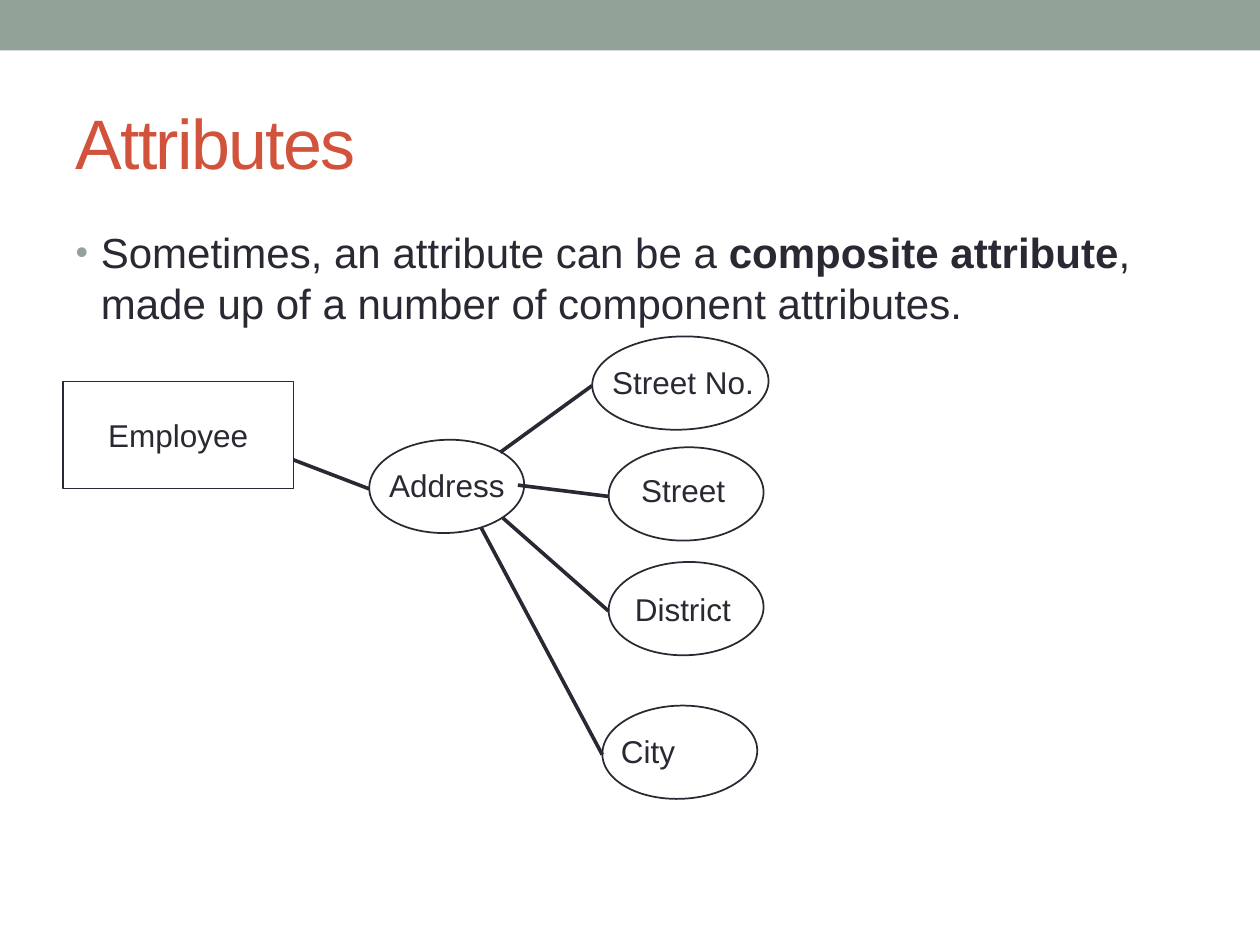
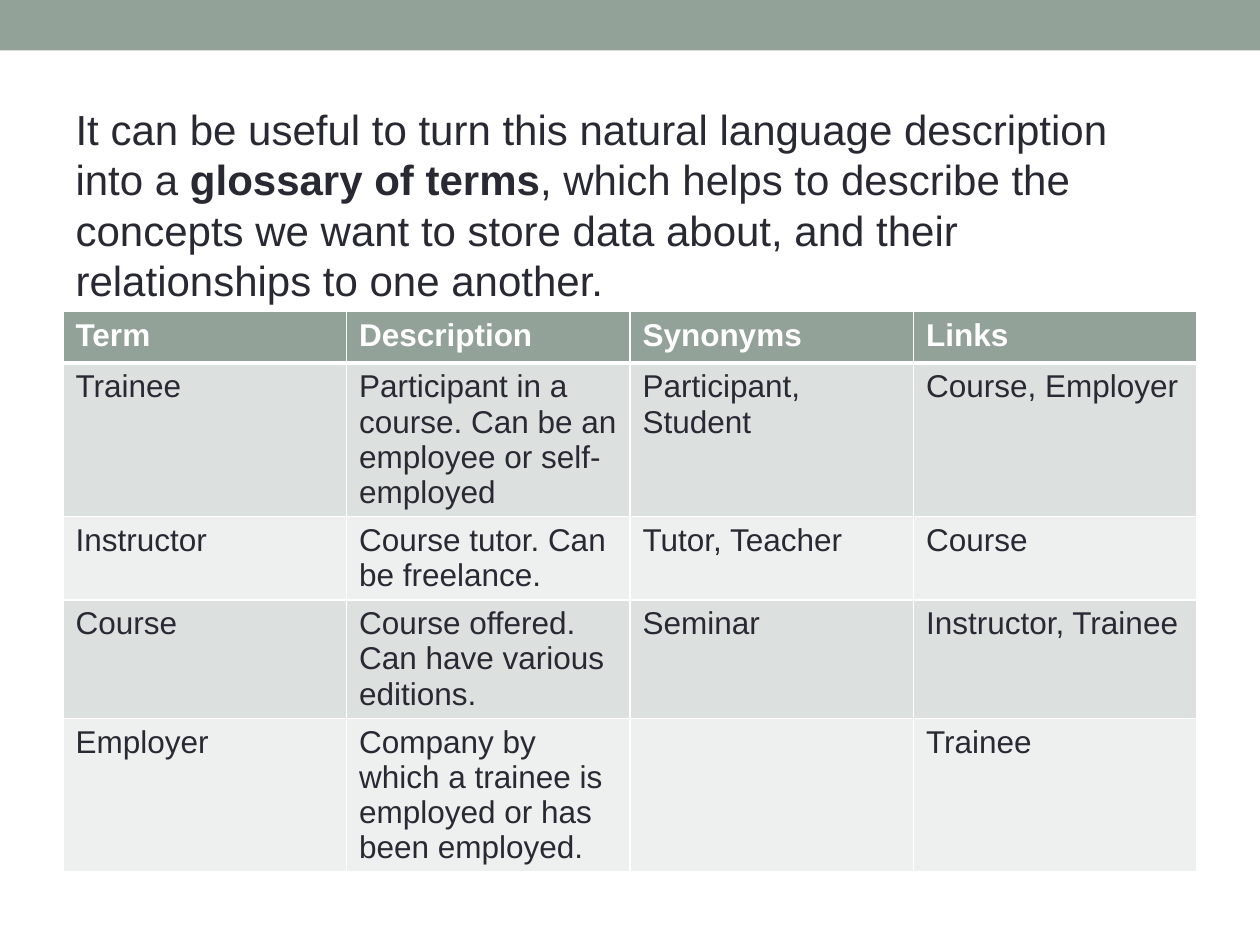
from lxml import etree
from pptx import Presentation
from pptx import util as u
from pptx.dml import color
from pptx.enum import shapes, text
from pptx.oxml import ns

SCALE = 9144
SAGE, RUST, INK, WHITE = "93A299", "D2533C", "292934", "FFFFFF"
BANDS = "DCE0DE", "EEF0EF"


def px(*lengths):
    return [u.Emu(n * SCALE) for n in lengths]


def rgb(value):
    return color.RGBColor.from_string(value)


def sub(parent, tag, **attrs):
    return etree.SubElement(parent, ns.qn(tag), attrs)


def set_attrs(target, values):
    for name, value in values.items():
        setattr(target, name, value)


class Deck:
    def __init__(self):
        self.prs = Presentation()
        self.prs.slide_width, self.prs.slide_height = px(1000, 750)
        self.s = None

    def slide(self, title=None):
        self.s = self.prs.slides.add_slide(self.prs.slide_layouts[1])
        band = self.shape("RECTANGLE", (0, 0, 1000, 40))
        band.fill.solid()
        band.fill.fore_color.rgb = rgb(SAGE)
        band.line.fill.background()
        sp = self.s.shapes.title
        if title is None:
            sp.element.getparent().remove(sp.element)
            return
        self.place(sp, 50, 58, 900, 108)
        set_attrs(sp.text_frame, {"vertical_anchor": text.MSO_ANCHOR.MIDDLE,
                                  "auto_size": text.MSO_AUTO_SIZE.NONE})
        p = sp.text_frame.paragraphs[0]
        p.alignment = text.PP_ALIGN.LEFT
        r = self.run(p, title, size=40, fill=RUST)
        r.font._element.set("spc", "-100")

    def place(self, sp, *box):
        set_attrs(sp, dict(zip(("left", "top", "width", "height"), px(*box))))

    def run(self, p, words, size=18, fill=INK, bold=False):
        r = p.add_run()
        r.text = words
        set_attrs(r.font, {"name": "Arial", "size": u.Pt(size), "bold": bold})
        r.font.color.rgb = rgb(fill)
        return r

    def body(self, top, parts, bullet=False):
        sp = self.s.placeholders[1]
        self.place(sp, 50, top, 900, 533)
        tf = sp.text_frame
        tf.auto_size = text.MSO_AUTO_SIZE.NONE
        p = tf.paragraphs[0]
        for i, words in enumerate(parts):
            self.run(p, words, size=24, bold=i % 2 == 1)
        ppr = p._p.get_or_add_pPr()
        indent = 20 * SCALE if bullet else 0
        ppr.set("marL", str(indent))
        ppr.set("indent", str(-indent))
        sub(sub(ppr, "a:spcBef"), "a:spcPct", val="20000")
        if bullet:
            sub(sub(ppr, "a:buClr"), "a:srgbClr", val=SAGE)
            sub(ppr, "a:buSzPct", val="85000")
            sub(ppr, "a:buFont", typeface="Arial")
            sub(ppr, "a:buChar", char="•")
        else:
            sub(ppr, "a:buNone")

    def shape(self, kind, box, line=1.0):
        sp = self.s.shapes.add_shape(shapes.MSO_SHAPE[kind], *px(*box))
        sp.shadow.inherit = False
        sp.fill.background()
        sp.line.color.rgb = rgb(INK)
        sp.line.width = u.Pt(line)
        return sp

    def entity(self, words, box):
        sp = self.shape("RECTANGLE", box, line=0.75)
        sp.text_frame.vertical_anchor = text.MSO_ANCHOR.MIDDLE
        p = sp.text_frame.paragraphs[0]
        p.alignment = text.PP_ALIGN.CENTER
        self.run(p, words)

    def label(self, words, box, wrap):
        sp = self.s.shapes.add_textbox(*px(*box))
        set_attrs(sp.text_frame, {"word_wrap": wrap,
                                  "auto_size": text.MSO_AUTO_SIZE.SHAPE_TO_FIT_TEXT})
        self.run(sp.text_frame.paragraphs[0], words)

    def link(self, start, end):
        c = self.s.shapes.add_connector(shapes.MSO_CONNECTOR.STRAIGHT, *px(*start, *end))
        c.line.color.rgb = rgb(INK)
        c.line.width = u.Pt(2.08)
        sub(c._element.spPr, "a:effectLst")

    def attribute(self, words, label_box, oval, start, end, wrap=False):
        left, top, width = oval
        self.label(words, (*label_box, 40), wrap)
        self.link(start, end)
        self.shape("OVAL", (left, top, width, 74)).rotation = 178.1

    def cell(self, cell, words, header, fill):
        tcpr = cell._tc.get_or_add_tcPr()
        for side in "LRTB":
            width = 3 if header and side == "B" else 1
            ln = sub(tcpr, f"a:ln{side}", w=str(u.Pt(width)))
            sub(sub(ln, "a:solidFill"), "a:srgbClr", val=WHITE)
        cell.fill.solid()
        cell.fill.fore_color.rgb = rgb(fill)
        if words:
            self.run(cell.text_frame.paragraphs[0], words,
                     fill=WHITE if header else INK, bold=header)

    def table(self, box, rows, heights):
        frame = self.s.shapes.add_table(len(rows), len(rows[0]), *px(*box))
        for i, (row, height) in enumerate(zip(rows, heights)):
            frame.table.rows[i].height = px(height)[0]
            fill = BANDS[(i - 1) % 2] if i else SAGE
            for j, words in enumerate(row):
                self.cell(frame.table.cell(i, j), words, i == 0, fill)


ATTRIBUTES = [
    ("Address", (299, 365, 113), (293, 349, 123), (233, 365), (293, 388)),
    ("Street No.", (476, 283, 134), (470, 267, 140), (397, 359), (470, 306)),
    ("Street", (499, 369, 88), (483, 355, 123), (411, 385), (483, 394)),
    ("District", (494, 463, 113), (483, 446, 123), (399, 411), (483, 485), True),
    ("City", (483, 576, 113), (478, 560, 123), (382, 419), (478, 599), True),
]

GLOSSARY = [
    ("Term", "Description", "Synonyms", "Links"),
    ("Trainee", "Participant in a course. Can be an employee or self-employed",
     "Participant, Student", "Course, Employer"),
    ("Instructor", "Course tutor. Can be freelance.", "Tutor, Teacher", "Course"),
    ("Course", "Course offered. Can have various editions.", "Seminar",
     "Instructor, Trainee"),
    ("Employer", "Company by which a trainee is employed or has been employed.",
     "", "Trainee"),
]


def main():
    deck = Deck()

    deck.slide("Attributes")
    deck.body(175, ("Sometimes, an attribute can be a ", "composite attribute",
                    ", made up of a number of component attributes."), bullet=True)
    deck.entity("Employee", (50, 303, 183, 85))
    for attribute in ATTRIBUTES:
        deck.attribute(*attribute)

    deck.slide()
    deck.body(77, ("It can be useful to turn this natural language description into a ",
                   "glossary of terms",
                   ", which helps to describe the concepts we want to store data about, "
                   "and their relationships to one another."))
    deck.table((50, 247, 900, 443), GLOSSARY, (41, 121, 66, 94, 121))

    deck.prs.save("out.pptx")


if __name__ == "__main__":
    main()
